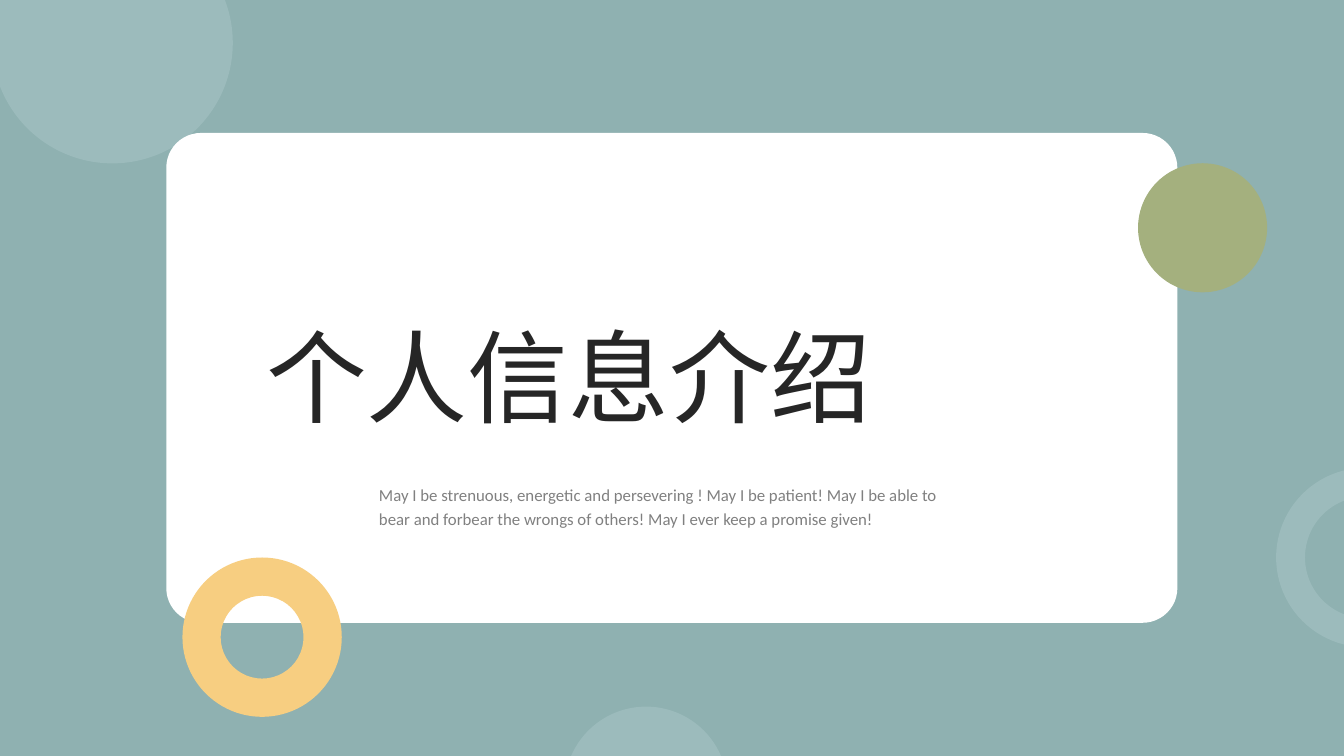
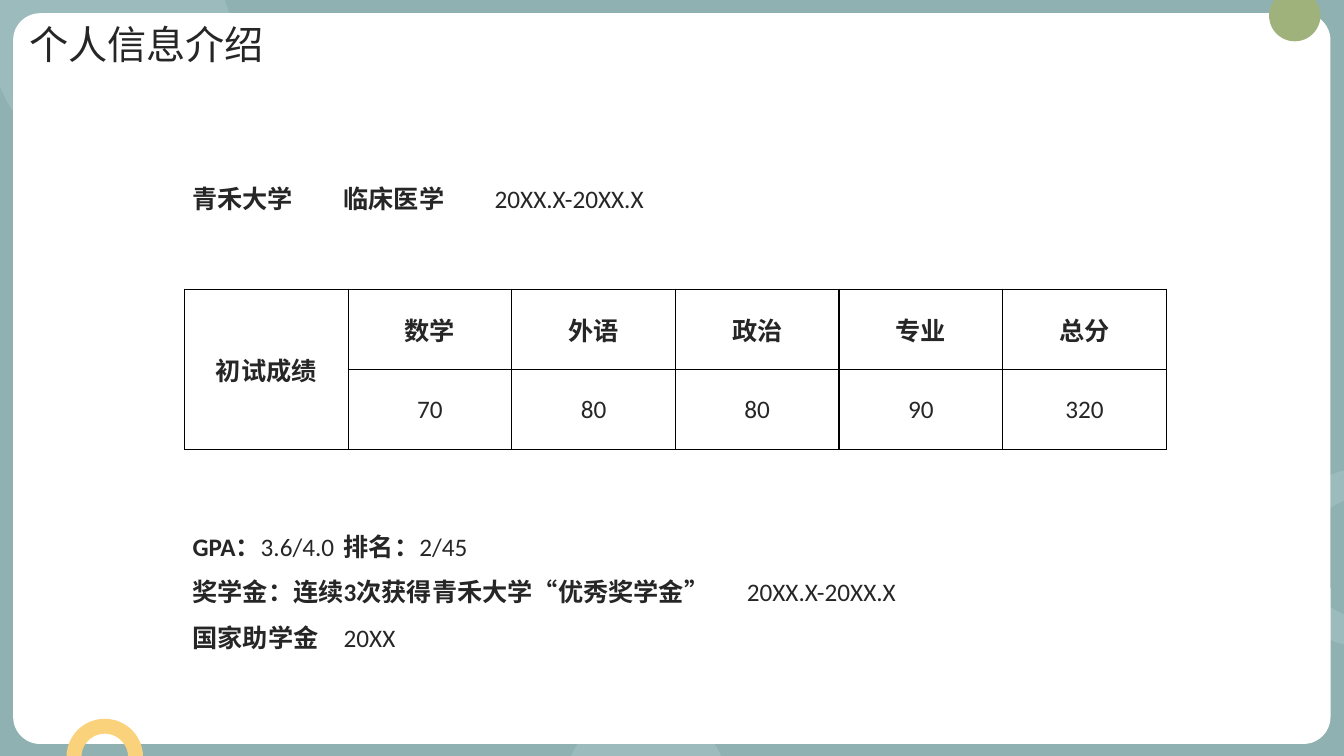
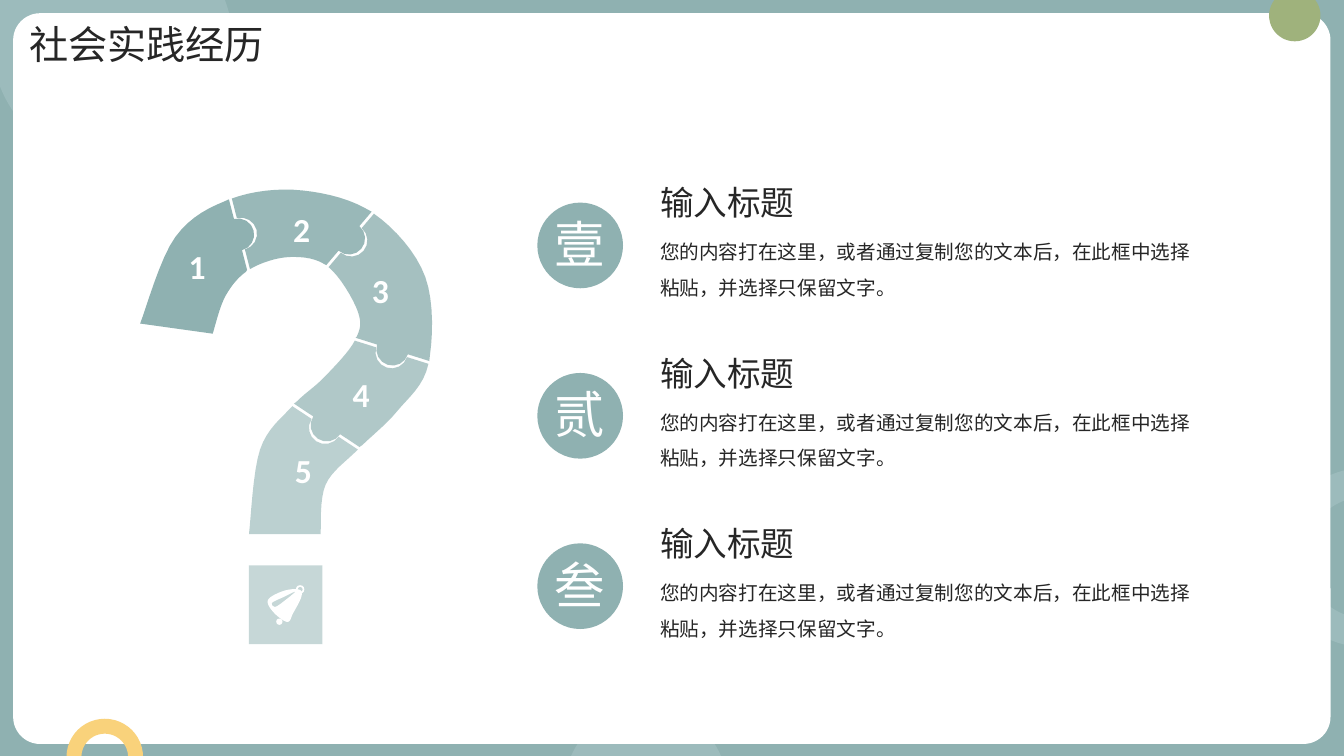
"""Build a three-slide personal profile deck."""
from math import cos, hypot, pi, sin

from lxml import etree
from pptx import Presentation
from pptx import util as u
from pptx.dml.color import RGBColor
from pptx.enum import lang, shapes, text
from pptx.oxml.ns import qn

Pt = u.Pt
KIND = shapes.MSO_SHAPE
LEFT, MID = text.PP_ALIGN.LEFT, text.PP_ALIGN.CENTER
TOP, HALF = text.MSO_ANCHOR.TOP, text.MSO_ANCHOR.MIDDLE
FONT = "Calibri"
HUE = {
    "teal": "8FB1B1", "mist": "9CBBBC", "white": "FFFFFF", "ink": "262626",
    "gray": "808080", "black": "000000", "moss": "A4B07E", "sand": "F7CE81",
    "leaf": "9FB27C", "gold": "F9D27B",
}

BACK = [
    (KIND.OVAL, (-5.8, -55.4, 172.1, 172.1), "mist", None),
    (KIND.OVAL, (403.2, 504.7, 116.6, 116.6), "mist", None),
    (KIND.DONUT, (911.5, 334.1, 128.2, 128.2), "mist", 0.161),
]
COVER = [
    (KIND.ROUNDED_RECTANGLE, (118.8, 95, 722.2, 349.9), "white", 0.071),
    (KIND.OVAL, (812.9, 116.6, 92.2, 92.2), "moss", None),
    (KIND.DONUT, (130.3, 398.2, 113.8, 113.8), "sand", 0.24),
]
INNER = [
    (KIND.ROUNDED_RECTANGLE, (9.4, 9.4, 941, 522), "white", 0.037),
    (KIND.OVAL, (906.5, -7.2, 36.7, 36.7), "leaf", None),
    (KIND.DONUT, (47.5, 513.4, 54.7, 54.7), "gold", 0.195),
]

NAME = "个人信息介绍"
MOTTO = ("May I be strenuous, energetic and persevering ! May I be patient! "
         "May I be able to bear and forbear the wrongs of others! "
         "May I ever keep a promise given!")
SCHOOL = [((194, 377), [("青禾大学\t临床医学\t", True), ("20XX.X-20XX.X", False)])]
SCORES = [
    ["初试成绩", "数学", "外语", "政治", "专业", "总分"],
    ["", "70", "80", "80", "90", "320"],
]
AWARDS = [
    ((427,), [("GPA：", True), ("3.6/4.0\t", False), ("排名：", True), ("2/45", False)]),
    ((491,), [("奖学金：连续3次获得青禾大学“优秀奖学金”", True), ("\t20XX.X-20XX.X", False)]),
    ((344,), [("国家助学金", True), ("\t20XX", False)]),
]
WORK = "社会实践经历"
MARKS = ["壹", "贰", "叁"]
HEAD = "输入标题"
NOTE = "您的内容打在这里，或者通过复制您的文本后，在此框中选择粘贴，并选择只保留文字。"

UNIT, STEPS, KNOB, GAP = 0.72, 8, 16, 3
OUTER = [(139, 321), (174, 235), (230, 197), (300, 189), (371, 212), (422, 275),
         (425, 361), (394, 408), (355, 446), (323, 481), (318, 530)]
CORE = [(211, 331), (224, 293), (248, 267), (288, 255), (326, 265), (355, 309),
        (352, 338), (322, 374), (290, 403), (258, 446), (247, 530)]
PARTS = len(OUTER) // 2
DOT = (177.8, 403.9, 52.6, 56.2)
BELL = [(297, 585), (282, 586), (266, 595), (271, 607), (285, 617), (291, 608), (299, 592)]
GLEAM = [(293, 587), (281, 597), (273, 602), (270, 598), (282, 592)]
RING, DROP = (211.4, 418, 6, 6), (197.3, 441.8, 4.5, 4.5)


def rgb(key):
    return RGBColor.from_string(HUE[key])


def paint(shape, hue, alpha=100):
    shape.shadow.inherit = False
    shape.fill.solid()
    shape.fill.fore_color.rgb = rgb(hue)
    shape.line.fill.background()
    if alpha < 100:
        tone = shape._element.spPr.find(".//" + qn("a:srgbClr"))
        etree.SubElement(tone, qn("a:alpha"), val=str(alpha * 1000))
    return shape


def draw(slide, kind, box, hue, adj=None, alpha=100):
    shape = slide.shapes.add_shape(kind, *map(Pt, box))
    if adj is not None:
        shape.adjustments[0] = adj
    return paint(shape, hue, alpha)


def write(frame, rows, size=18, hue="ink", bold=False, align=LEFT, lead=1.0):
    """Fill a text frame with a string or with (tabs, runs) rows."""
    if isinstance(rows, str):
        rows = [((), [(rows, bold)])]
    for num, (tabs, runs) in enumerate(rows):
        para = frame.add_paragraph() if num else frame.paragraphs[0]
        para.alignment, para.line_spacing = align, lead
        para.space_before = para.space_after = Pt(0)
        props = para._p.get_or_add_pPr()
        props.set("marL", "0")
        props.set("indent", "0")
        etree.SubElement(props, qn("a:buNone"))
        if tabs:
            stops = etree.SubElement(props, qn("a:tabLst"))
            for stop in tabs:
                etree.SubElement(stops, qn("a:tab"), pos=str(Pt(stop)), algn="l")
        for words, heavy in runs:
            run = para.add_run()
            run.text = words
            font = run.font
            font.name, font.size, font.bold = FONT, Pt(size), heavy
            font.color.rgb = rgb(hue)
            font.language_id = lang.MSO_LANGUAGE_ID.SIMPLIFIED_CHINESE


def place(slide, box, rows, holder=None, **form):
    """Write into a placeholder, or into a new text box, at the given place."""
    shape = holder or slide.shapes.add_textbox(*map(Pt, box))
    shape.left, shape.top, shape.width, shape.height = map(Pt, box)
    slide.shapes._spTree.append(shape._element)
    frame = shape.text_frame
    frame.word_wrap = True
    frame.auto_size = text.MSO_AUTO_SIZE.NONE
    frame.vertical_anchor = TOP
    write(frame, rows, **form)


def smooth(spots, loop=False):
    """Run an even curve through the spots."""
    if loop:
        chain = [spots[-1], *spots, *spots[:2]]
    else:
        chain = [spots[0], *spots, spots[-1]]
    curve = []
    for a, b, c, d in zip(chain, chain[1:], chain[2:], chain[3:]):
        for k in range(STEPS):
            t = k / STEPS
            curve.append(tuple(
                q + t / 2 * (r - p + t * (2 * p - 5 * q + 4 * r - s + t * (3 * (q - r) + s - p)))
                for p, q, r, s in zip(a, b, c, d)))
    return curve + [chain[-2]]


def seam(num, shift=0):
    """Cross the band from its outer to its inner edge, with a round knob."""
    (ax, ay), (bx, by) = OUTER[2 * num], CORE[2 * num]
    if num in (0, PARTS):
        return [(ax, ay), (bx, by)]
    span = hypot(bx - ax, by - ay)
    dx, dy = (bx - ax) / span, (by - ay) / span
    turns = [pi * k / STEPS for k in range(STEPS + 1)]
    along = [(0, 0)] + [(span / 2 - KNOB * cos(t), KNOB * sin(t)) for t in turns] + [(span, 0)]
    return [(ax + dx * m + dy * (n - shift), ay + dy * m - dx * (n - shift)) for m, n in along]


def trace(slide, loops, hue, alpha=100):
    pen = None
    for loop in loops:
        first, *rest = [(Pt(x * UNIT), Pt(y * UNIT)) for x, y in loop]
        if pen is None:
            pen = slide.shapes.build_freeform(*first)
        else:
            pen.move_to(*first)
        pen.add_line_segments(rest, close=True)
    return paint(pen.convert_to_shape(), hue, alpha)


def start(deck, layout, decor):
    slide = deck.slides.add_slide(deck.slide_layouts[layout])
    for item in BACK + decor:
        draw(slide, *item)
    return slide


def inner(deck, layout, name):
    slide = start(deck, layout, INNER)
    place(slide, (13.7, 10.8, 213.1, 41), name, slide.shapes.title, size=28)
    return slide


def edge(cell):
    props = cell._tc.get_or_add_tcPr()
    for num, side in enumerate(("lnL", "lnR", "lnT", "lnB")):
        line = etree.Element(qn("a:" + side), w=str(Pt(1)))
        fill = etree.SubElement(line, qn("a:solidFill"))
        etree.SubElement(fill, qn("a:srgbClr"), val=HUE["black"])
        props.insert(num, line)


def grid(slide, rows, box):
    table = slide.shapes.add_table(len(rows), len(rows[0]), *map(Pt, box)).table
    table.first_row = table.horz_banding = False
    for r, row in enumerate(rows):
        for c, words in enumerate(row):
            cell = table.cell(r, c)
            cell.fill.solid()
            cell.fill.fore_color.rgb = rgb("white")
            cell.vertical_anchor = HALF
            if words:
                write(cell.text_frame, words, bold=r == 0, align=MID)
            edge(cell)
    table.cell(0, 0).merge(table.cell(1, 0))


def puzzle(slide):
    far, near = smooth(OUTER), smooth(CORE)
    for num in range(PARTS):
        low, high = 2 * STEPS * num, 2 * STEPS * (num + 1)
        loop = far[low + 1:high] + seam(num + 1, GAP)
        loop += near[low + 1:high][::-1] + seam(num)[::-1]
        piece = trace(slide, [loop], "teal", 100 - 10 * num)
        piece.text_frame.vertical_anchor = HALF
        write(piece.text_frame, str(num + 1), size=24, hue="white", bold=True, align=MID)
    draw(slide, KIND.RECTANGLE, DOT, "teal", alpha=50)
    trace(slide, [smooth(BELL, True), smooth(GLEAM, True)], "white")
    draw(slide, KIND.DONUT, RING, "white", 0.2)
    draw(slide, KIND.OVAL, DROP, "white")


def cover(deck):
    slide = start(deck, 0, COVER)
    place(slide, (182.9, 221, 594.7, 94.3), NAME, slide.shapes.title, size=72)
    place(slide, (263.5, 339.8, 433.4, 41), MOTTO, slide.placeholders[1],
          size=12, hue="gray", lead=1.2)


def study(deck):
    slide = inner(deck, 1, NAME)
    grid(slide, SCORES, (131.8, 206.6, 701.3, 114.5))
    place(slide, (130.3, 123.8, 701.3, 31), SCHOOL, lead=Pt(25))
    place(slide, (130.3, 365, 701.3, 105.1), AWARDS, slide.placeholders[1], lead=1.5)


def work(deck):
    slide = inner(deck, 5, WORK)
    puzzle(slide)
    for num, mark in enumerate(MARKS):
        down = 121.7 * num
        disc = draw(slide, KIND.OVAL, (383.8, 144.7 + down, 61.2, 61.2), "teal")
        frame = disc.text_frame
        frame.word_wrap = False
        frame.vertical_anchor = HALF
        frame.margin_left = frame.margin_right = frame.margin_top = Pt(0)
        frame.margin_bottom = Pt(3)
        write(frame, mark, size=36, hue="white", align=MID)
        place(slide, (464.4, 159.8 + down, 401, 55.4), NOTE, size=14, lead=1.5)
        place(slide, (464.4, 126.7 + down, 135.4, 36), HEAD, size=24)


def main():
    deck = Presentation()
    deck.slide_width, deck.slide_height = Pt(960), Pt(540)
    fill = deck.slide_master.background.fill
    fill.solid()
    fill.fore_color.rgb = rgb("teal")
    for build in (cover, study, work):
        build(deck)
    deck.save("out.pptx")


if __name__ == "__main__":
    main()
